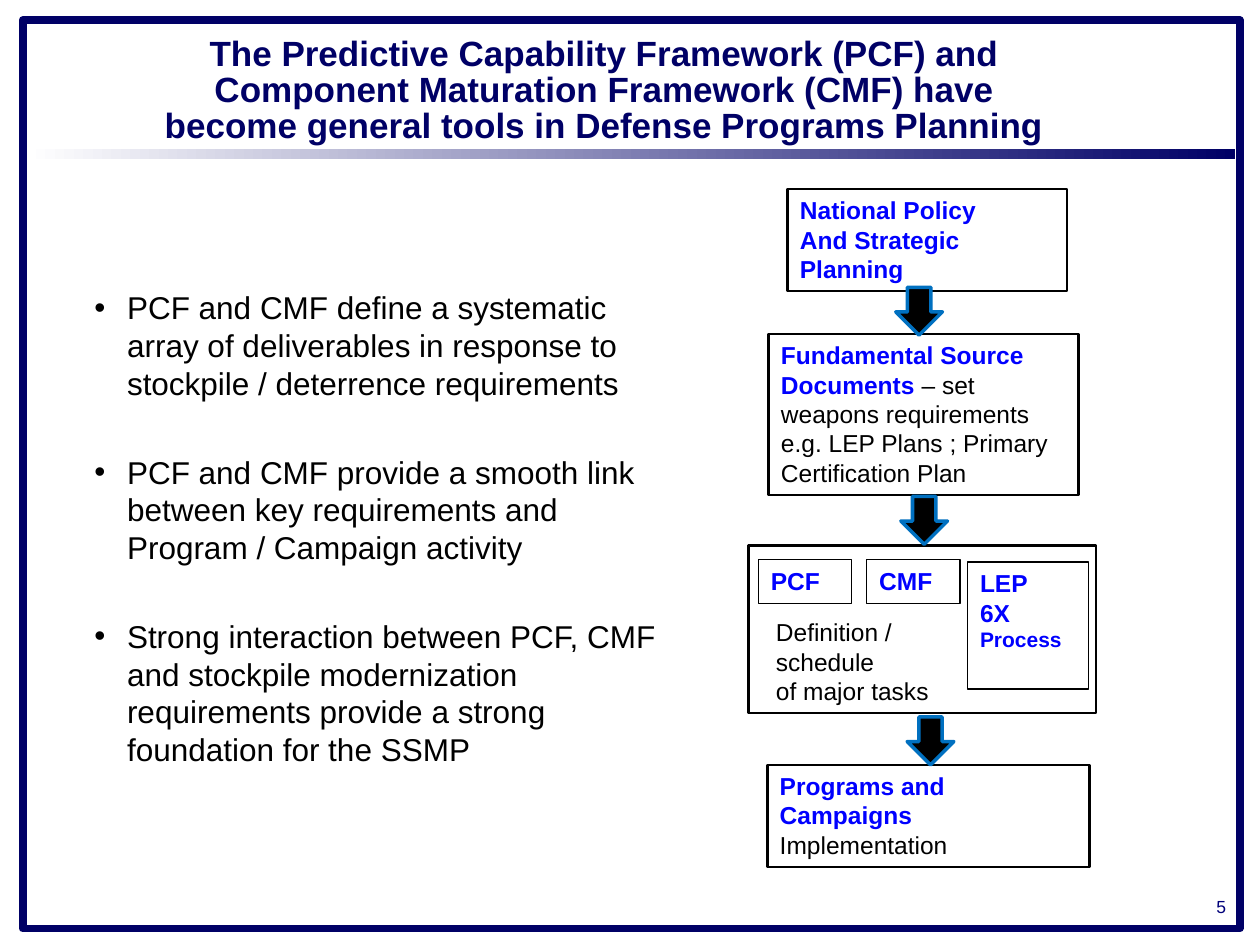
from lxml import etree
from pptx import Presentation
from pptx.dml.color import RGBColor
from pptx.enum.shapes import MSO_SHAPE
from pptx.enum.text import MSO_ANCHOR, PP_ALIGN
from pptx.oxml.ns import qn
from pptx.util import Inches, Pt

RECT, DOWN = MSO_SHAPE.RECTANGLE, MSO_SHAPE.DOWN_ARROW
TOP, MIDDLE = MSO_ANCHOR.TOP, MSO_ANCHOR.MIDDLE
LEFT, CENTER, RIGHT = PP_ALIGN.LEFT, PP_ALIGN.CENTER, PP_ALIGN.RIGHT

WHITE = RGBColor(0xFF, 0xFF, 0xFF)
BLACK = RGBColor(0, 0, 0)
NAVY = RGBColor(0, 0, 0x66)
INDIGO = RGBColor(0, 0, 0x7A)
BLUE = RGBColor(0, 0, 0xFF)
AZURE = RGBColor(0, 0x70, 0xC0)

TITLE = ("The Predictive Capability Framework (PCF) and Component Maturation "
         "Framework (CMF) have become general tools in Defense Programs Planning")
POINTS = [
    "PCF and CMF define a systematic array of deliverables in response to "
    "stockpile / deterrence requirements",
    "PCF and CMF provide a smooth link between key requirements and "
    "Program / Campaign activity",
    "Strong interaction between PCF, CMF and stockpile modernization "
    "requirements provide a strong foundation for the SSMP",
]


def key(text, size=14):
    return text, size, BLUE, True


def plain(text):
    return text, 14, BLACK, False


BOXES = [
    ((6.25, 1.5, 2.22, 0.81), 1.5,
     [[key("National Policy")], [key("And Strategic Planning")]]),
    ((6.1, 2.65, 2.46, 1.28), 1.5,
     [[key("Fundamental Source")],
      [key("Documents "), plain("– set weapons requirements e.g. LEP Plans ; "
                                "Primary Certification Plan")]]),
    ((5.94, 4.33, 2.76, 1.33), 1.5, []),
    ((6.02, 4.44, 0.74, 0.35), 0.75, [[key("PCF")]]),
    ((6.88, 4.44, 0.74, 0.35), 0.75, [[key("CMF")]]),
    ((7.68, 4.46, 0.96, 1.01), 0.75,
     [[key("LEP")], [key("6X "), key("Process", 12)]]),
    ((6.09, 6.07, 2.56, 0.81), 1.5,
     [[key("Programs and")], [key("Campaigns")], [plain("Implementation")]]),
]
TASKS = [[plain("Definition /")], [plain("schedule")], [plain("of major tasks")]]
ARROWS = [(7.11, 2.28), (7.15, 3.94), (7.2, 5.69)]


def style(font, size, color, bold=False):
    font.name = "Arial"
    font.size = Pt(size)
    font.color.rgb = color
    font.bold = bold


def write(frame, rows, align=LEFT):
    frame.word_wrap = True
    frame.vertical_anchor = TOP
    for i, row in enumerate(rows):
        para = frame.add_paragraph() if i else frame.paragraphs[0]
        para.alignment = align
        for text, *look in row:
            run = para.add_run()
            run.text = text
            style(run.font, *look)


def add_form(slide, kind, area, color=None, width=0):
    form = slide.shapes.add_shape(kind, *map(Inches, area))
    form.shadow.inherit = False
    form.fill.background()
    if color is None:
        form.line.fill.background()
    else:
        form.line.color.rgb = color
        form.line.width = Pt(width)
    return form


def add_text(slide, area, rows, align=LEFT):
    box = slide.shapes.add_textbox(*map(Inches, area))
    write(box.text_frame, rows, align)
    return box.text_frame


def add_border(slide):
    band = add_form(slide, RECT, (0.21, 1.18, 9.59, 0.08))
    band.fill.gradient()
    band.fill.gradient_angle = 0
    for stop, color, place in zip(band.fill.gradient_stops, (WHITE, NAVY), (0, 1)):
        stop.color.rgb = color
        stop.position = place
    add_form(slide, RECT, (0.18, 0.16, 9.66, 7.21), NAVY, 4.5)


def add_number(slide):
    frame = add_text(slide, (8.89, 7.11, 0.84, 0.24), [[("5", 10, INDIGO)]], RIGHT)
    frame.margin_left = frame.margin_right = 0
    frame.margin_top = frame.margin_bottom = 0


def add_points(slide):
    frame = add_text(slide, (0.65, 2.24, 4.85, 4.17),
                     [[(text, 18, BLACK)] for text in POINTS])
    for i, para in enumerate(frame.paragraphs):
        props = para._p.get_or_add_pPr()
        props.set("marL", str(Inches(0.26)))
        props.set("indent", str(Inches(-0.26)))
        etree.SubElement(props, qn("a:buFont")).set("typeface", "Arial")
        etree.SubElement(props, qn("a:buChar")).set("char", "•")
        if i:
            para.space_before = Pt(29)


def set_title(slide):
    title = slide.shapes.title
    title.left, title.top, title.width, title.height = map(
        Inches, (1.2, 0.23, 7.19, 1))
    frame = title.text_frame
    frame.text = TITLE
    frame.word_wrap = True
    frame.vertical_anchor = MIDDLE
    para = frame.paragraphs[0]
    para.alignment = CENTER
    para.line_spacing = 0.85
    style(para.font, 20, NAVY, True)


def main():
    deck = Presentation()
    deck.slide_width, deck.slide_height = Inches(10), Inches(7.5)
    slide = deck.slides.add_slide(deck.slide_layouts[5])
    add_border(slide)
    add_number(slide)
    set_title(slide)
    add_points(slide)
    for area, width, rows in BOXES:
        write(add_form(slide, RECT, area, BLACK, width).text_frame, rows)
    add_text(slide, (6.06, 4.85, 1.53, 0.81), TASKS)
    for left, top in ARROWS:
        arrow = add_form(slide, DOWN, (left, top, 0.37, 0.38), AZURE, 2)
        arrow.fill.solid()
        arrow.fill.fore_color.rgb = BLACK
    deck.save("out.pptx")


if __name__ == "__main__":
    main()
